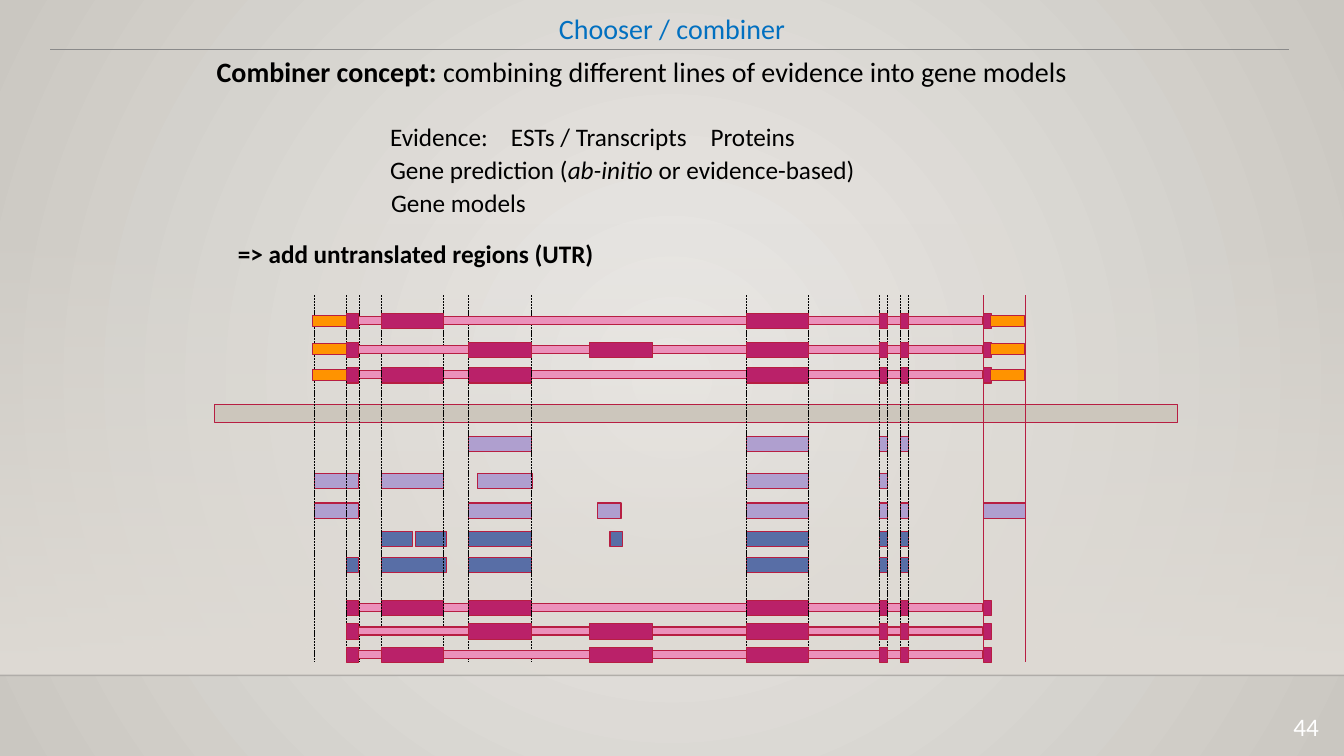
from lxml import etree
from pptx import Presentation
from pptx import util as u
from pptx.dml import color as dml
from pptx.enum import dml as edml, shapes, text
from pptx.oxml import ns

FONT = "Calibri"
EDGE = "B71E42"

# Columns of the gene diagram: offset from its left edge, width
COLS = {
    "utr": (0.99, 0.44), "a": (1.31, 0.12), "b": (1.65, 0.62),
    "c": (2.52, 0.62), "d": (3.72, 0.62), "e": (5.27, 0.62),
    "f": (6.59, 0.08), "g": (6.8, 0.08), "h": (7.62, 0.08),
    "end": (7.62, 0.42), "b1": (1.65, 0.31), "b2": (1.99, 0.31),
    "long": (1.65, 0.65), "c2": (2.61, 0.54), "d1": (3.8, 0.23),
    "d2": (3.92, 0.12),
}
# Evidence rows: offset from the top, colour, columns
PROOF = [
    (2.34, "586EA6", "b1 c e f g b2 d2"),
    (2.6, "586EA6", "a c e f g long"),
    (1.4, "AF9FCF", "c e f g"),
    (1.77, "AF9FCF", "b c2 e f utr"),
    (2.06, "AF9FCF", "c e f g end utr d1"),
]
# Gene models behind and in front of the guides
BACK = [(3.03, "b c e f g h a"), (0.72, "b c e f g h a")]
FRONT = [(0.47, "d c e f g h a"), (3.26, "d c e f g h a"),
         (0.18, "b e f g h a"), (3.49, "d b e f g h a")]
ENDS = [0.2, 0.48, 0.74]


def rgb(code):
    return dml.RGBColor.from_string(code)


def fade(node, pct):
    """Set the opacity of a colour element."""
    etree.SubElement(node, ns.qn("a:alpha"), val=str(pct * 1000))


def blend(fill, first, last):
    fill.gradient()
    for stop, code in zip(fill.gradient_stops, (first, last)):
        stop.color.rgb = rgb(code)


def rect(sl, x, y, w, h, fill, edge=EDGE):
    box = sl.shapes.add_shape(shapes.MSO_SHAPE.RECTANGLE,
                              *map(u.Inches, (x, y, w, h)))
    box.shadow.inherit = False
    box.fill.solid()
    box.fill.fore_color.rgb = rgb(fill)
    if edge:
        box.line.color.rgb = rgb(edge)
        box.line.width = u.Pt(0.75)
    else:
        box.line.fill.background()
    return box


def rule(sl, x1, y1, x2, y2, ink, width=0.75, dash=None):
    line = sl.shapes.add_connector(shapes.MSO_CONNECTOR.STRAIGHT,
                                   *map(u.Inches, (x1, y1, x2, y2)))
    line.line.color.rgb = rgb(ink)
    line.line.width = u.Pt(width)
    if dash:
        line.line.dash_style = dash
    etree.SubElement(line._element.spPr, ns.qn("a:effectLst"))
    return line


def write(sl, x, y, w, h, *runs, size=18, ink="000000", align=None,
          wrap=False, space=None):
    """Each run is a string, or a string with its style: b or i."""
    box = sl.shapes.add_textbox(*map(u.Inches, (x, y, w, h)))
    frame = box.text_frame
    frame.word_wrap = wrap
    para = frame.paragraphs[0]
    para.alignment = align
    para.line_spacing = space
    for part in runs:
        words, style = (part, "") if isinstance(part, str) else part
        run = para.add_run()
        run.text = words
        font = run.font
        font.name, font.size = FONT, u.Pt(size)
        font.color.rgb = rgb(ink)
        font.bold, font.italic = style == "b", style == "i"


def stage(sl, w, h):
    """Backdrop, floor line, title and page number."""
    blend(sl.background.fill, "ECEAE7", "CAC7C1")
    lin = sl._element.xpath(".//p:bg//a:lin")[0]
    ring = etree.Element(ns.qn("a:path"), path="circle")
    etree.SubElement(ring, ns.qn("a:fillToRect"),
                     l="50000", t="50000", r="50000", b="50000")
    lin.getparent().replace(lin, ring)

    floor = h - 0.8
    wall = rect(sl, 0, 2.21, w, floor - 2.21, "DFDBD5", None)
    blend(wall.fill, "DFDBD5", "DFDBD5")
    wall.fill.gradient_angle = 270
    fade(wall._element.xpath(".//a:gs/a:srgbClr")[0], 0)
    line = rule(sl, 0, floor, w, floor, "000001", 1)
    fade(line._element.xpath(".//a:ln//a:srgbClr")[0], 20)

    rule(sl, 0.5, 0.49, 12.78, 0.49, "8A8A8A")
    write(sl, 0, 0, w, 0.49, "Chooser / combiner", size=20, ink="0270C0",
          align=text.PP_ALIGN.CENTER, wrap=True, space=1.2)
    write(sl, w - 1.08, h - 0.49, 0.93, 0.34, "44", ink="FFFFFF",
          align=text.PP_ALIGN.RIGHT, wrap=True)


def legend(sl, x, y):
    """Concept line, kinds of evidence and the closing note."""
    write(sl, x, y, 10.42, 0.44, ("Combiner concept: ", "b"),
          "combining different lines of evidence into gene models",
          size=20, wrap=True)
    write(sl, x + 1.72, y + 0.66, 1.29, 0.4, "Evidence:")
    write(sl, x + 2.92, y + 0.66, 1.96, 0.4, "ESTs / Transcripts")
    write(sl, x + 4.9, y + 0.66, 1.06, 0.4, "Proteins")
    write(sl, x + 1.72, y + 0.99, 4.84, 0.4, "Gene prediction (",
          ("ab-initio ", "i"), "or evidence-based)")
    write(sl, x + 1.73, y + 1.32, 1.55, 0.4, "Gene models")
    write(sl, x + 0.21, y + 1.83, 3.78, 0.4,
          ("=> add untranslated regions (UTR)", "b"))


def row(sl, x, y, keys, fill):
    for key in keys.split():
        off, w = COLS[key]
        rect(sl, x + off, y, w, 0.15, fill)


def model(sl, x, y, keys):
    """Thin intron bar with exons on it."""
    rect(sl, x + 1.39, y + 0.03, 6.22, 0.08, "EB91BB")
    row(sl, x, y, keys, "BA2169")


def guides(sl, x, y, h):
    """Dashed lines on the exon edges, red ones at the far end."""
    edges = [COLS["utr"][0]]
    for key in "abcefg":
        off, w = COLS[key]
        edges += [off, off + w]
    for off in edges:
        rule(sl, x + off, y, x + off, y + h, "000000", 0.5,
             edml.MSO_LINE.SQUARE_DOT)
    off, w = COLS["end"]
    for red in (off, off + w):
        rule(sl, x + red, y, x + red, y + h, EDGE)


def genes(sl, x, y, w, h):
    rect(sl, x, y + 1.08, w, 0.18, "CCC6BC")
    for top, keys in BACK:
        model(sl, x, y + top, keys)
    for top, fill, keys in PROOF:
        row(sl, x, y + top, keys, fill)
    guides(sl, x, y, h)
    for top, keys in FRONT:
        model(sl, x, y + top, keys)
    # Untranslated regions
    for top in ENDS:
        for off in (0.97, 7.69):
            rect(sl, x + off, y + top, 0.34, 0.11, "FF9300")


def main():
    deck = Presentation()
    deck.slide_width, deck.slide_height = u.Inches(13.33), u.Inches(7.5)
    sl = deck.slides.add_slide(deck.slide_layouts[6])
    stage(sl, 13.33, 7.5)
    legend(sl, 2.05, 0.49)
    genes(sl, 2.13, 2.93, 9.55, 3.64)
    deck.save("out.pptx")


if __name__ == "__main__":
    main()
